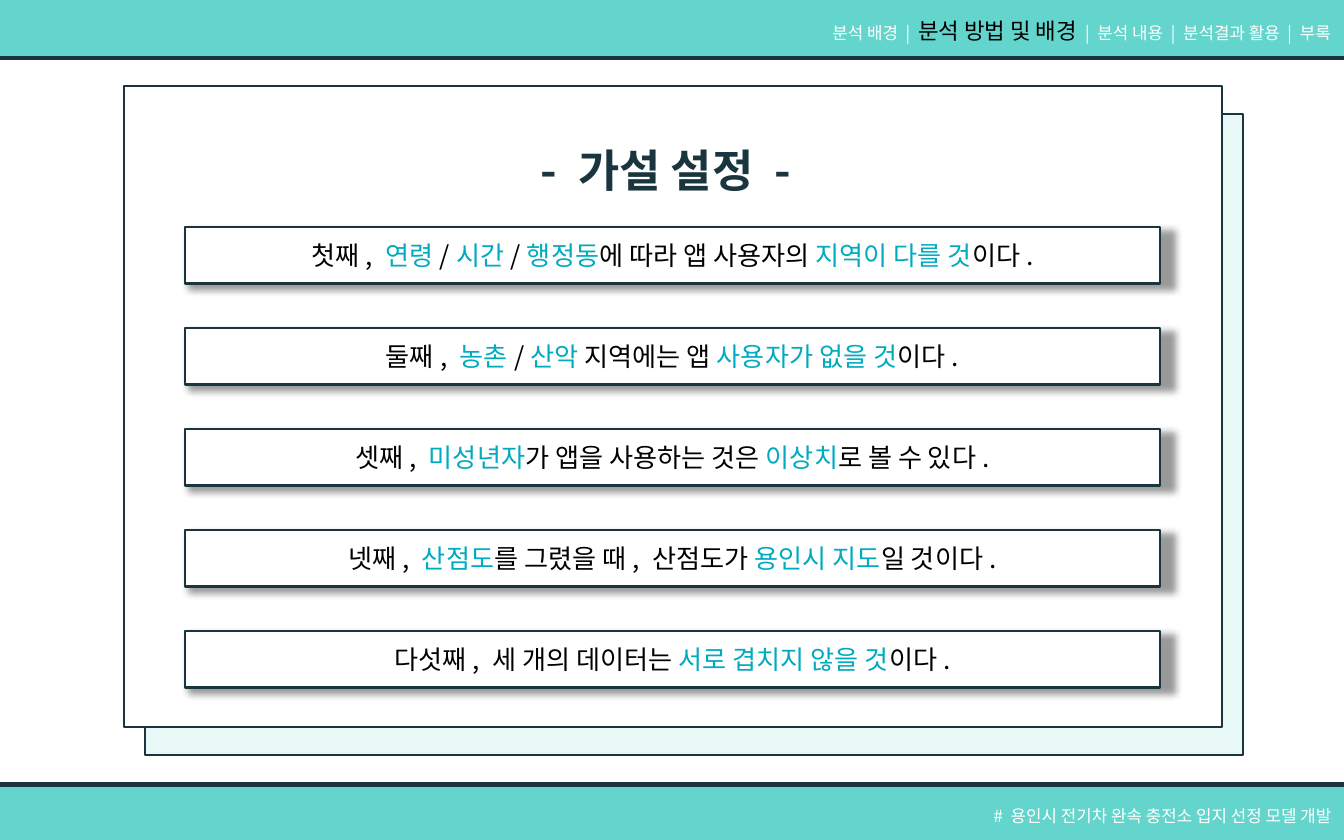
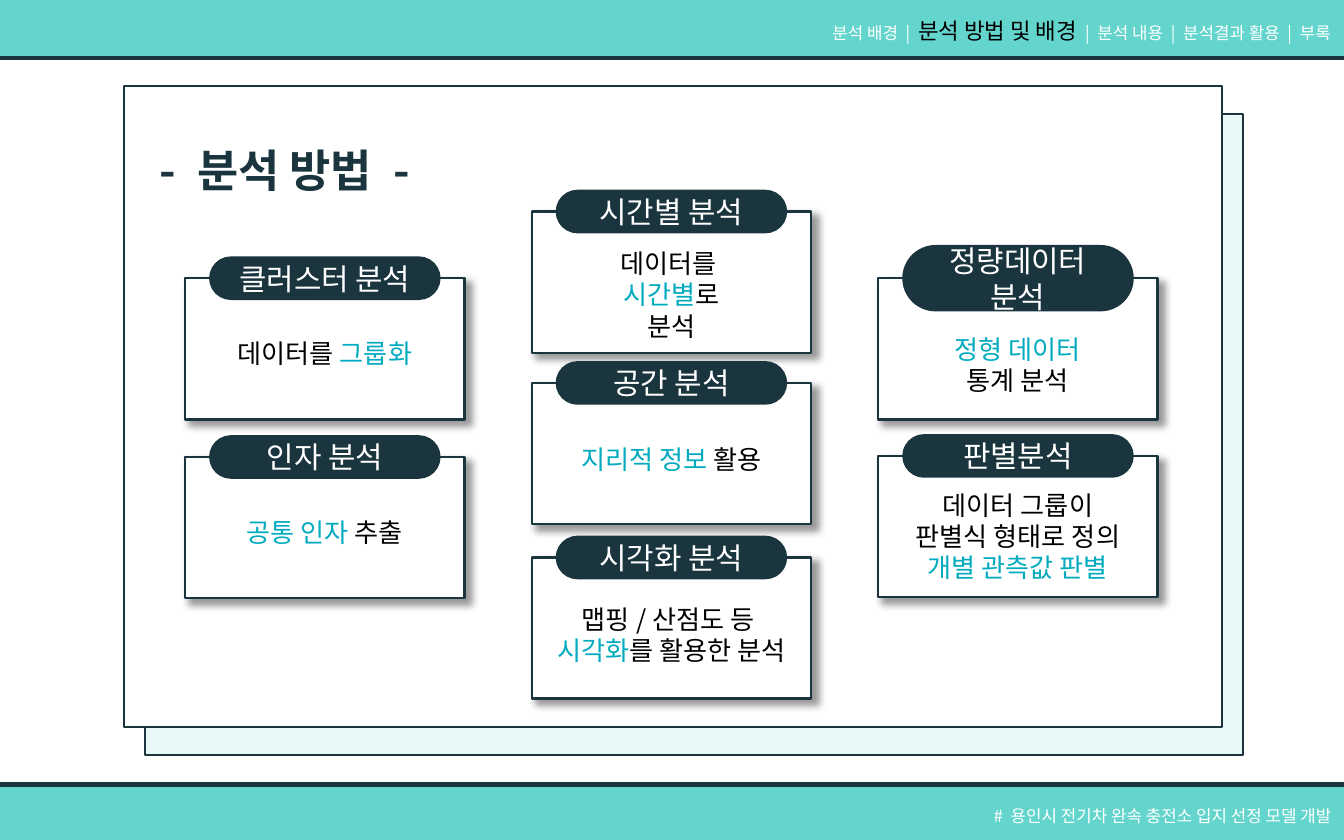
"""Build the hypothesis and analysis-method slides of the charging-station deck."""
from lxml import etree
from pptx import Presentation
from pptx.dml.color import RGBColor
from pptx.enum.shapes import MSO_SHAPE
from pptx.enum.text import MSO_ANCHOR, MSO_AUTO_SIZE, PP_ALIGN
from pptx.oxml.ns import qn
from pptx.util import Cm, Pt

RECTANGLE = MSO_SHAPE.RECTANGLE
PILL = MSO_SHAPE.ROUNDED_RECTANGLE
TOP, MIDDLE = MSO_ANCHOR.TOP, MSO_ANCHOR.MIDDLE
CENTER, RIGHT = PP_ALIGN.CENTER, PP_ALIGN.RIGHT
NO_AUTOFIT = MSO_AUTO_SIZE.NONE

FONT = "Noto Sans CJK KR"
NAVY = RGBColor(0x1A, 0x35, 0x3E)
TEAL = RGBColor(0x31, 0xC7, 0xBB)
MINT = RGBColor(0x65, 0xD5, 0xCC)
ACCENT = RGBColor(0x00, 0xAB, 0xBF)
WHITE = RGBColor(0xFF, 0xFF, 0xFF)
BLACK = RGBColor(0, 0, 0)

NAVIGATION = "분석 배경 | *분석 방법 및 배경* | 분석 내용 | 분석결과 활용 | 부록"
FOOTER = "# 용인시 전기차 완속 충전소 입지 선정 모델 개발"

HEADINGS = [("- 가설 설정 - ", 9.3, 6.76), ("- 분석 방법 - ", 2.74, 5.28)]

HYPOTHESES = [
    "첫째, *연령*/*시간*/*행정동*에 따라 앱 사용자의 *지역이 다를 것*이다.",
    "둘째, *농촌*/*산악* 지역에는 앱 *사용자가 없을 것*이다.",
    "셋째, *미성년자*가 앱을 사용하는 것은 *이상치*로 볼 수 있다.",
    "넷째, *산점도*를 그렸을 때, 산점도가 *용인시 지도*일 것이다.",
    "다섯째, 세 개의 데이터는 *서로 겹치지 않을 것*이다.",
]

METHODS = [
    (0, 5.26, 0.79, "클러스터 분석", 6.25, ["데이터를 *그룹화*"]),
    (0, 8.64, 0.79, "인자 분석", 9.63, ["*공통 인자 *추출"]),
    (1, 4.0, 0.79, "시간별 분석", 4.55, ["데이터를 ", "*시간별*로", "분석"]),
    (1, 7.24, 0.79, "공간 분석", 8.26, ["*지리적 정보 *활용"]),
    (1, 10.54, 0.79, "시각화 분석", 11.28, ["맵핑/산점도 등 ", "*시각화*를 활용한 분석"]),
    (2, 5.26, 1.22, "정량데이터 분석", 6.17, ["*정형 데이터*", "통계 분석"]),
    (2, 8.62, 0.79, "판별분석", 9.12,
     ["데이터 그룹이", "판별식 형태로 정의", "*개별 관측값 판별*"]),
]


def add_box(slide, kind, left, top, width, height, fill, line_width, opacity=100, shadow=False):
    """Add an outlined shape measured in centimetres."""
    box = slide.shapes.add_shape(kind, Cm(left), Cm(top), Cm(width), Cm(height))
    box.fill.solid()
    box.fill.fore_color.rgb = fill
    box.line.color.rgb = NAVY
    box.line.width = Pt(line_width)
    box.shadow.inherit = False
    properties = box._element.spPr
    if opacity < 100:
        colour = properties.find(qn("a:solidFill")).find(qn("a:srgbClr"))
        etree.SubElement(colour, qn("a:alpha"), val=str(opacity * 1000))
    if shadow:
        outer = etree.SubElement(
            properties.find(qn("a:effectLst")), qn("a:outerShdw"),
            blurRad=str(Pt(4)), dist=str(Pt(3)), dir="2700000",
            sx="101000", sy="101000", algn="tl", rotWithShape="0")
        shade = etree.SubElement(outer, qn("a:srgbClr"), val="000000")
        etree.SubElement(shade, qn("a:alpha"), val="40000")
    return box


def write(shape, lines, size, colour, align=CENTER, anchor=TOP, accent=ACCENT, spacing=1.0, bold=False):
    """Fill a shape with lines in which *starred* parts take the accent colour."""
    frame = shape.text_frame
    frame.word_wrap = True
    frame.auto_size = NO_AUTOFIT
    frame.vertical_anchor = anchor
    frame.text = "\n".join(lines)
    for paragraph, line in zip(frame.paragraphs, lines):
        paragraph.text = ""
        paragraph.alignment = align
        paragraph.line_spacing = spacing
        for index, part in enumerate(line.split("*")):
            if not part:
                continue
            run = paragraph.add_run()
            run.text = part
            run.font.size = Pt(size)
            run.font.bold = bold
            run.font.color.rgb = accent if index % 2 else colour
            run.font.name = FONT
            etree.SubElement(run._r.get_or_add_rPr(), qn("a:ea"), typeface=FONT)


deck = Presentation()
deck.slide_width = Cm(25.4)
deck.slide_height = Cm(15.88)

for heading, heading_left, heading_width in HEADINGS:
    slide = deck.slides.add_slide(deck.slide_layouts[5])
    add_box(slide, RECTANGLE, 2.74, 2.16, 20.75, 12.12, MINT, 1.25, opacity=15)
    add_box(slide, RECTANGLE, 2.34, 1.63, 20.75, 12.12, WHITE, 1.25)
    add_box(slide, RECTANGLE, -0.56, -0.58, 26.52, 1.68, TEAL, 2.5, opacity=75)
    add_box(slide, RECTANGLE, -0.79, 14.83, 26.52, 1.45, TEAL, 2.5, opacity=75)

    navigation = slide.shapes.add_textbox(Cm(14.78), Cm(-0.05), Cm(10.62), Cm(0.94))
    write(navigation, [NAVIGATION], 9, WHITE, RIGHT, accent=BLACK, spacing=1.5)
    navigation.text_frame.paragraphs[0].runs[1].font.size = Pt(12)

    footer = slide.shapes.add_textbox(Cm(17.12), Cm(14.91), Cm(8.28), Cm(0.76))
    write(footer, [FOOTER], 9, WHITE, RIGHT, spacing=1.5)

    title = slide.shapes.title
    title.left, title.top = Cm(heading_left), Cm(2.06)
    title.width, title.height = Cm(heading_width), Cm(1.63)
    write(title, [heading], 24, NAVY, spacing=1.5, bold=True)
    title.element.getparent().append(title.element)

hypothesis_slide, method_slide = deck.slides

for row, hypothesis in enumerate(HYPOTHESES):
    bar = add_box(hypothesis_slide, RECTANGLE, 3.5, 4.29 + 1.91 * row, 18.42, 1.07,
                  WHITE, 1.25, shadow=True)
    write(bar, [hypothesis], 14, BLACK, anchor=MIDDLE)

for column, top, label_height, method, summary_top, summary_lines in METHODS:
    left = 3.5 + 6.55 * column
    add_box(method_slide, RECTANGLE, left, top, 5.28, 2.67, WHITE, 1.25, shadow=True)
    label = add_box(method_slide, PILL, left + 0.47, top - label_height / 2, 4.34, label_height,
                    NAVY, 1)
    label.adjustments[0] = 0.5
    write(label, [method], 16, WHITE, anchor=MIDDLE)
    summary = method_slide.shapes.add_textbox(
        Cm(left), Cm(summary_top), Cm(5.28), Cm(0.26 + 0.6 * len(summary_lines)))
    write(summary, summary_lines, 14, BLACK)

deck.save("out.pptx")
